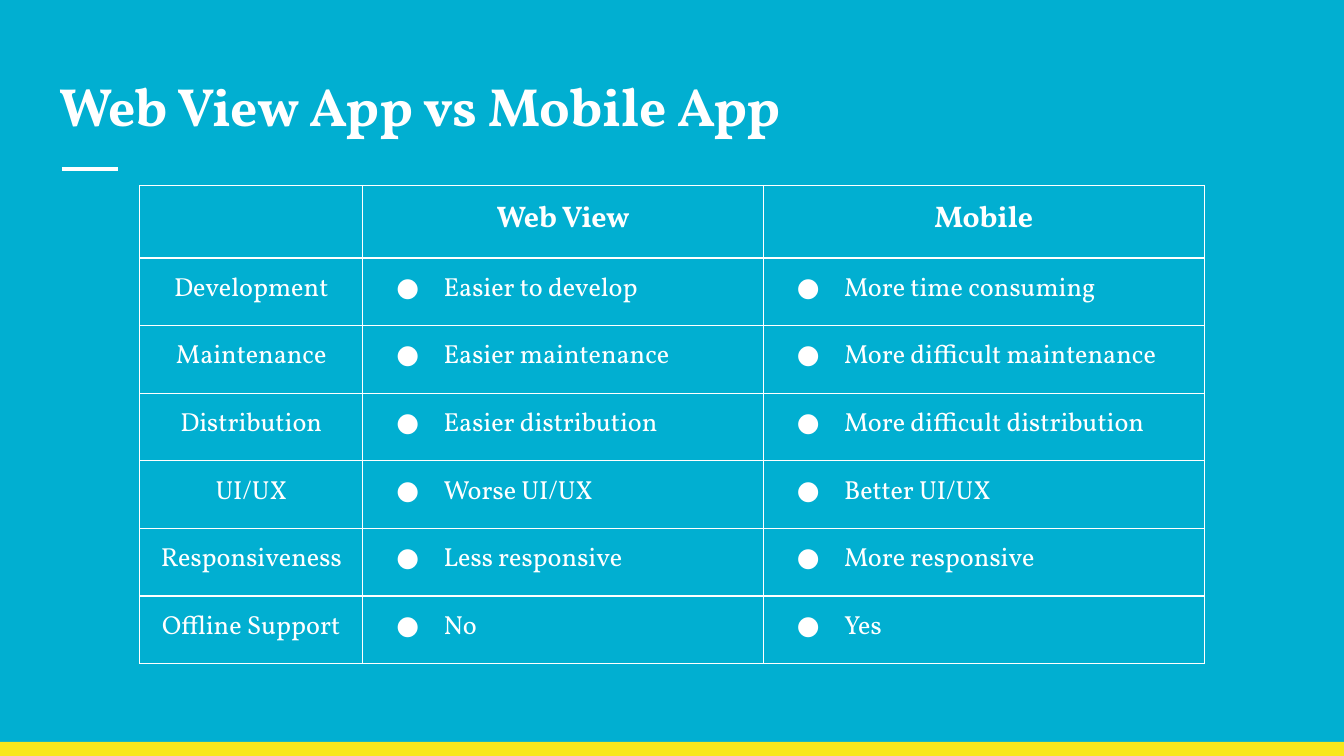
"""Build a slide that compares web view apps with mobile apps in a table."""
from dataclasses import dataclass

from lxml import etree
from pptx import Presentation
from pptx.dml.color import RGBColor
from pptx.enum.shapes import MSO_CONNECTOR, MSO_SHAPE
from pptx.enum.text import MSO_ANCHOR, MSO_AUTO_SIZE, PP_ALIGN
from pptx.oxml.ns import qn
from pptx.util import Inches, Pt

STRAIGHT = MSO_CONNECTOR.STRAIGHT
RECTANGLE = MSO_SHAPE.RECTANGLE
BOTTOM = MSO_ANCHOR.BOTTOM
NO_AUTOFIT = MSO_AUTO_SIZE.NONE
LEFT, CENTER = PP_ALIGN.LEFT, PP_ALIGN.CENTER

COLORS = {"background": "01AFD1", "accent": "F8E71C", "text": "FFFFFF"}
FONT = "Vollkorn"
PAGE_WIDTH = 10
PAGE_HEIGHT = PAGE_WIDTH * 9 / 16
INSET = 0.1
BORDER_WIDTH = 0.75
COLUMN_WIDTHS = (1.66, 2.98, 3.28)
TABLE_HEIGHT, HEADER_HEIGHT = 3.56, 0.54


@dataclass(frozen=True)
class Comparison:
    topic: str
    web_view: str
    mobile: str


HEADER = Comparison("", "Web View", "Mobile")
COMPARISONS = (
    Comparison("Development", "Easier to develop", "More time consuming"),
    Comparison("Maintenance", "Easier maintenance", "More difficult maintenance"),
    Comparison("Distribution", "Easier distribution", "More difficult distribution"),
    Comparison("UI/UX", "Worse UI/UX", "Better UI/UX"),
    Comparison("Responsiveness", "Less responsive", "More responsive"),
    Comparison("Offline Support", "No", "Yes"),
)
ROW_HEIGHT = (TABLE_HEIGHT - HEADER_HEIGHT) / len(COMPARISONS)


def color(name: str) -> RGBColor:
    return RGBColor.from_string(COLORS[name])


def add_color(parent, name: str) -> None:
    etree.SubElement(parent, qn("a:srgbClr"), val=COLORS[name])


def write_text(para, text: str, *, size: float, bold: bool = False, align=LEFT) -> None:
    para.alignment = align
    span = para.add_run()
    span.text = text
    span.font.name = FONT
    span.font.size = Pt(size)
    span.font.bold = bold
    span.font.color.rgb = color("text")


def set_insets(holder) -> None:
    holder.margin_left = holder.margin_right = Inches(INSET)
    holder.margin_top = holder.margin_bottom = Inches(INSET)


def add_bullet(para) -> None:
    properties = para._p.get_or_add_pPr()
    properties.set("marL", str(Inches(0.5)))
    properties.set("indent", str(Inches(-0.35)))
    add_color(etree.SubElement(properties, qn("a:buClr")), "text")
    etree.SubElement(properties, qn("a:buFont"), typeface=FONT)
    etree.SubElement(properties, qn("a:buChar"), char="●")


def format_cell(cell) -> None:
    set_insets(cell)
    properties = cell._tc.get_or_add_tcPr()
    for side in ("lnL", "lnR", "lnT", "lnB"):
        border = etree.SubElement(properties, qn(f"a:{side}"), w=str(Pt(BORDER_WIDTH)))
        add_color(etree.SubElement(border, qn("a:solidFill")), "text")
    cell.fill.background()


def add_decoration(page) -> None:
    band = page.shapes.add_shape(
        RECTANGLE, 0, Inches(5.52), Inches(PAGE_WIDTH), Inches(0.11))
    band.shadow.inherit = False
    band.fill.solid()
    band.fill.fore_color.rgb = color("accent")
    band.line.fill.background()
    rule = page.shapes.add_connector(
        STRAIGHT, Inches(0.46), Inches(1.26), Inches(0.88), Inches(1.26))
    rule.line.color.rgb = color("text")
    rule.line.width = Pt(2.25)
    etree.SubElement(rule._element.spPr, qn("a:effectLst"))


def add_title(page, text: str) -> None:
    title = page.shapes.title
    title.left, title.top = Inches(0.34), Inches(0.41)
    title.width, title.height = Inches(9.32), Inches(0.71)
    frame = title.text_frame
    set_insets(frame)
    frame.auto_size = NO_AUTOFIT
    frame.vertical_anchor = BOTTOM
    write_text(frame.paragraphs[0], text, size=28.8, bold=True)


def add_comparison_table(page) -> None:
    entries = (HEADER, *COMPARISONS)
    heights = [HEADER_HEIGHT] + [ROW_HEIGHT] * len(COMPARISONS)
    table = page.shapes.add_table(
        len(entries), len(COLUMN_WIDTHS), Inches(1.04), Inches(1.38),
        Inches(sum(COLUMN_WIDTHS)), Inches(TABLE_HEIGHT)).table
    for column, width in zip(table.columns, COLUMN_WIDTHS):
        column.width = Inches(width)
    for row, height, entry in zip(table.rows, heights, entries):
        row.height = Inches(height)
        is_header = entry is HEADER
        for index, text in enumerate((entry.topic, entry.web_view, entry.mobile)):
            cell = row.cells[index]
            format_cell(cell)
            if not text:
                continue
            para = cell.text_frame.paragraphs[0]
            is_bullet = index > 0 and not is_header
            write_text(para, text, size=16 if is_header else 14, bold=is_header,
                       align=LEFT if is_bullet else CENTER)
            if is_bullet:
                add_bullet(para)


def main() -> None:
    deck = Presentation()
    deck.slide_width, deck.slide_height = Inches(PAGE_WIDTH), Inches(PAGE_HEIGHT)
    page = deck.slides.add_slide(deck.slide_layouts[5])
    page.background.fill.solid()
    page.background.fill.fore_color.rgb = color("background")
    add_decoration(page)
    add_title(page, "Web View App vs Mobile App")
    add_comparison_table(page)
    deck.save("out.pptx")


if __name__ == "__main__":
    main()
